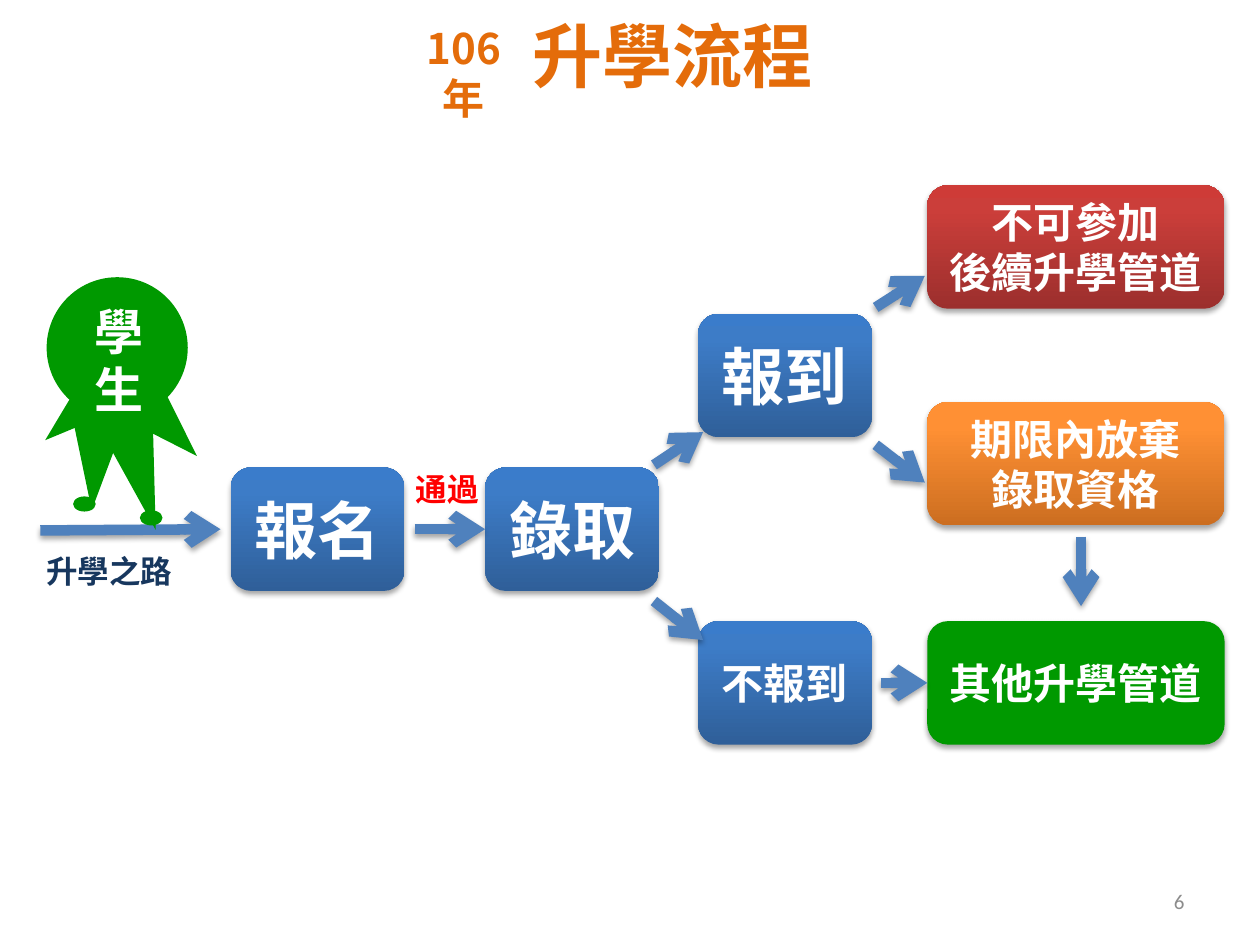
from copy import deepcopy
from lxml import etree
from pptx import Presentation
from pptx.dml.color import RGBColor
from pptx.enum.shapes import MSO_CONNECTOR, MSO_SHAPE as SHAPE
from pptx.enum.text import MSO_ANCHOR as ANCHOR, PP_ALIGN as ALIGN
from pptx.oxml import parse_xml
from pptx.oxml.ns import nsdecls, qn
from pptx.util import Inches, Pt

CJK = "Noto Sans CJK SC"
GREEN, ORANGE, WHITE = "009900", "E46C0A", "FFFFFF"
BLUE_GRAD = ("2F5F99", "3D7CC7", "3A7CCB")
RED_GRAD = ("9C2F2D", "CB3E3A", "CE3B37")
ORANGE_GRAD = ("CC6E20", "FF9034", "FF9136")
STOPS = (0, 0.8, 1)
BOX_H, STEP_W, OUTCOME_W = 0.98, 1.38, 2.36
STEP_X, OUTCOME_X = 5.54, 7.36
ROW_Y, BOTTOM_Y = 3.71, 4.93

BOXES = [
    (["報名"], 1.83, ROW_Y, STEP_W, 36, BLUE_GRAD),
    (["報到"], STEP_X, 2.49, STEP_W, 36, BLUE_GRAD),
    (["不報到"], STEP_X, BOTTOM_Y, STEP_W, 24, BLUE_GRAD),
    (["其他升學管道"], OUTCOME_X, BOTTOM_Y, OUTCOME_W, 24, GREEN),
    (["不可參加", "後續升學管道"], OUTCOME_X, 1.47, OUTCOME_W, 24, RED_GRAD),
    (["期限內放棄", "錄取資格"], OUTCOME_X, 3.19, OUTCOME_W, 24, ORANGE_GRAD),
    (["錄取"], 3.85, ROW_Y, STEP_W, 36, BLUE_GRAD),
]
ARROWS = [
    (0.32, 4.21, 1.75, 4.2, None),
    (5.19, 3.69, 5.58, 3.43, None),
    (5.19, 4.77, 5.58, 5.08, None),
    (6.99, 5.42, 7.36, 5.42, "其他升學管道"),
    (6.95, 2.44, 7.34, 2.19, None),
    (8.58, 4.26, 8.58, 4.81, None),
    (6.95, 3.53, 7.34, 3.83, None),
    (3.29, 4.2, 3.85, 4.2, "錄取"),
]
STUDENT = [
    (SHAPE.OVAL, 0.37, 2.2, 1.12, 1.12, 0),
    (SHAPE.ISOSCELES_TRIANGLE, 0.92, 3.38, 0.41, 0.84, 164.8),
    (SHAPE.ISOSCELES_TRIANGLE, 0.38, 3.13, 0.29, 0.44, 229.2),
    (SHAPE.ISOSCELES_TRIANGLE, 1.14, 3.09, 0.41, 0.62, 135.3),
    (SHAPE.ISOSCELES_TRIANGLE, 0.55, 3.34, 0.41, 0.71, 184.4),
    (SHAPE.RECTANGLE, 0.66, 3.23, 0.5, 0.36, 0),
    (SHAPE.OVAL, 0.58, 3.94, 0.18, 0.12, 0),
    (SHAPE.OVAL, 1.11, 4.05, 0.18, 0.12, 0),
]
LABELS = [
    ("通過", 3.2, 3.68, 0.92, 0.4, 18, "FF0000", ALIGN.LEFT, True),
    ("升學之路", 0.27, 4.33, 1.39, 0.4, 18, "17375E", ALIGN.LEFT, True),
    ("106年", 3.18, 0.13, 1, 0.5, 24, ORANGE, ALIGN.CENTER, True),
    ("升學流程", 4.11, 0.05, 2.45, 0.77, 40, ORANGE, ALIGN.CENTER, False),
    ("學生", 0.65, 2.34, 0.84, 1.04, 28, WHITE, ALIGN.LEFT, True),
]


def rgb(color):
    return RGBColor.from_string(color)


def lengths(*values):
    return [Inches(v) for v in values]


def add_shadow(sp):
    spPr = sp._element.spPr
    for old in spPr.findall(qn("a:effectLst")):
        spPr.remove(old)
    spPr.append(parse_xml(
        f'<a:effectLst {nsdecls("a")}>'
        '<a:outerShdw blurRad="40000" dist="23000" dir="5400000" rotWithShape="0">'
        '<a:srgbClr val="000000"><a:alpha val="35000"/></a:srgbClr>'
        '</a:outerShdw></a:effectLst>'))


def write(sp, lines, size, color, align, font=CJK, bold=True, wrap=True, anchor=ANCHOR.TOP):
    tf = sp.text_frame
    tf.word_wrap = wrap
    tf.vertical_anchor = anchor
    for i, line in enumerate(lines):
        p = tf.add_paragraph() if i else tf.paragraphs[0]
        p.alignment = align
        r = p.add_run()
        r.text = line
        r.font.size, r.font.bold, r.font.name = Pt(size), bold, font
        r.font.color.rgb = rgb(color)
        etree.SubElement(r.font._element, qn("a:ea")).set("typeface", font)


def add_filled(s, kind, x, y, w, h, fill):
    sp = s.shapes.add_shape(kind, *lengths(x, y, w, h))
    sp.shadow.inherit = False
    sp.line.fill.background()
    if isinstance(fill, str):
        sp.fill.solid()
        sp.fill.fore_color.rgb = rgb(fill)
        return sp
    sp.fill.gradient()
    sp.fill.gradient_angle = 90
    stops = sp._element.spPr.find(".//" + qn("a:gsLst"))
    stops.append(deepcopy(stops[-1]))
    for stop, position, color in zip(sp.fill.gradient_stops, STOPS, fill):
        stop.position = position
        stop.color.rgb = rgb(color)
    return sp


def add_arrow(s, x1, y1, x2, y2, target):
    cx = s.shapes.add_connector(MSO_CONNECTOR.STRAIGHT, *lengths(x1, y1, x2, y2))
    cx.line.width = Pt(6)
    cx.line.color.rgb = rgb("4F81BD")
    etree.SubElement(cx.line._get_or_add_ln(), qn("a:tailEnd")).set("type", "arrow")
    add_shadow(cx)
    if target is not None:
        cx.end_connect(target, 1)


def main():
    prs = Presentation()
    prs.slide_width, prs.slide_height = lengths(10, 7.5)
    s = prs.slides.add_slide(prs.slide_layouts[6])

    boxes = {}
    for lines, x, y, w, size, fill in BOXES:
        sp = add_filled(s, SHAPE.ROUNDED_RECTANGLE, x, y, w, BOX_H, fill)
        add_shadow(sp)
        write(sp, lines, size, WHITE, ALIGN.CENTER, anchor=ANCHOR.MIDDLE)
        boxes[lines[0]] = sp
    for x1, y1, x2, y2, target in ARROWS:
        add_arrow(s, x1, y1, x2, y2, boxes.get(target))
    for kind, x, y, w, h, rotation in STUDENT:
        add_filled(s, kind, x, y, w, h, GREEN).rotation = rotation
    for text, x, y, w, h, size, color, align, wrap in LABELS:
        write(s.shapes.add_textbox(*lengths(x, y, w, h)), [text], size, color, align, wrap=wrap)
    number = s.shapes.add_textbox(*lengths(7.17, 6.95, 2.33, 0.4))
    write(number, ["6"], 12, "8C8C8C", ALIGN.RIGHT, "Calibri", False, anchor=ANCHOR.MIDDLE)
    prs.save("out.pptx")


if __name__ == "__main__":
    main()
